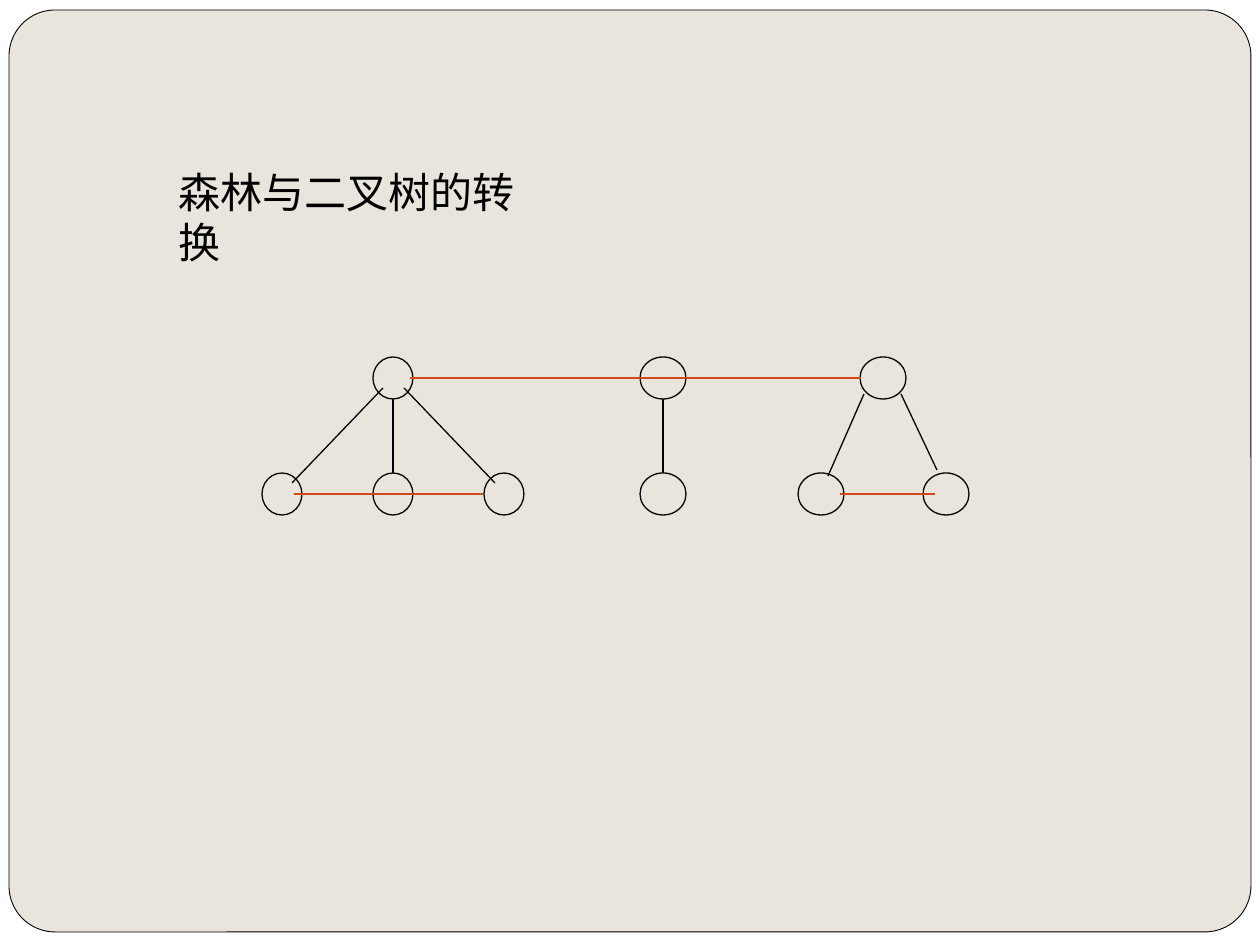
"""Build a slide on converting a forest to a binary tree."""
from lxml import etree
from pptx import Presentation
from pptx import util as u
from pptx.dml.color import RGBColor
from pptx.enum import shapes, text
from pptx.oxml.ns import qn

EMU_PER_PX = 914400 / 126
BLACK = RGBColor(0x00, 0x00, 0x00)
CANVAS = RGBColor(0xE9, 0xE5, 0xDC)
ORANGE = RGBColor(0xD3, 0x48, 0x17)

ROOT_TOP, CHILD_TOP, NODE_HEIGHT = 357, 473, 42
ROOT_MIDDLE = ROOT_TOP + NODE_HEIGHT // 2
CHILD_MIDDLE = CHILD_TOP + NODE_HEIGHT // 2
ROOT_BOTTOM = ROOT_TOP + NODE_HEIGHT

TREES = [
    {"root": 393, "children": [282, 393, 504], "node_width": 40,
     "edges": [(393, ROOT_BOTTOM, 393, CHILD_TOP), (383, 388, 292, 483), (404, 388, 495, 483)]},
    {"root": 883, "children": [821, 946], "node_width": 46,
     "edges": [(864, 394, 828, 476), (901, 394, 937, 470)]},
    {"root": 663, "children": [663], "node_width": 46,
     "edges": [(663, ROOT_BOTTOM, 663, CHILD_TOP)]},
]
SIBLING_LINKS = [
    (410, ROOT_MIDDLE, 861, ROOT_MIDDLE),
    (294, CHILD_MIDDLE, 483, CHILD_MIDDLE),
    (840, CHILD_MIDDLE, 935, CHILD_MIDDLE),
]


def px(*lengths):
    """Turn pixel lengths into EMU."""
    return [u.Emu(round(length * EMU_PER_PX)) for length in lengths]


def set_attributes(target, values):
    """Set each named attribute of the target."""
    for name, value in values.items():
        setattr(target, name, value)


def add_outline(container, kind, box, width=0.75):
    """Add an unfilled preset shape with a black outline."""
    shape = container.add_shape(kind, *px(*box))
    shape.shadow.inherit = False
    shape.fill.background()
    shape.line.color.rgb = BLACK
    shape.line.width = u.Pt(width)
    return shape


def add_line(container, ends, color):
    """Add a straight line without a shadow."""
    line = container.add_connector(shapes.MSO_CONNECTOR.STRAIGHT, *px(*ends))
    line.line.color.rgb = color
    line.line.width = u.Pt(0.75)
    etree.SubElement(line._element.spPr, qn("a:effectLst"))


def add_title(slide, wording):
    """Place and format the title placeholder."""
    title = slide.shapes.title
    left, top, width, height = px(166, 160, 402, 63)
    set_attributes(title, {"left": left, "top": top, "width": width, "height": height})
    frame = title.text_frame
    set_attributes(frame, {"text": wording, "word_wrap": True,
                           "vertical_anchor": text.MSO_ANCHOR.TOP,
                           "auto_size": text.MSO_AUTO_SIZE.SHAPE_TO_FIT_TEXT})
    paragraph = frame.paragraphs[0]
    paragraph.alignment = text.PP_ALIGN.LEFT
    font = paragraph.runs[0].font
    set_attributes(font, {"name": "Times New Roman", "size": u.Pt(24)})
    font.color.rgb = BLACK


def add_frame(slide):
    """Add the rounded page frame behind the title."""
    frame = add_outline(slide.shapes, shapes.MSO_SHAPE.ROUNDED_RECTANGLE, (9, 10, 1242, 922), 0.5)
    frame.adjustments[0] = 0.05
    frame.fill.solid()
    frame.fill.fore_color.rgb = CANVAS
    slide.shapes.title._element.addprevious(frame._element)


def add_tree(slide, tree):
    """Add one tree as a group of nodes and edges."""
    group = slide.shapes.add_group_shape().shapes
    width = tree["node_width"]
    nodes = [(tree["root"], ROOT_TOP)] + [(center, CHILD_TOP) for center in tree["children"]]
    for center, top in nodes:
        add_outline(group, shapes.MSO_SHAPE.OVAL, (center - width // 2, top, width, NODE_HEIGHT))
    for edge in tree["edges"]:
        add_line(group, edge, BLACK)


def main():
    """Build and save the presentation."""
    presentation = Presentation()
    width, height = px(1260, 945)
    set_attributes(presentation, {"slide_width": width, "slide_height": height})
    slide = presentation.slides.add_slide(presentation.slide_layouts[5])
    add_frame(slide)
    add_title(slide, "森林与二叉树的转换")
    for tree in TREES:
        add_tree(slide, tree)
    for link in SIBLING_LINKS:
        add_line(slide.shapes, link, ORANGE)
    presentation.save("out.pptx")


if __name__ == "__main__":
    main()
